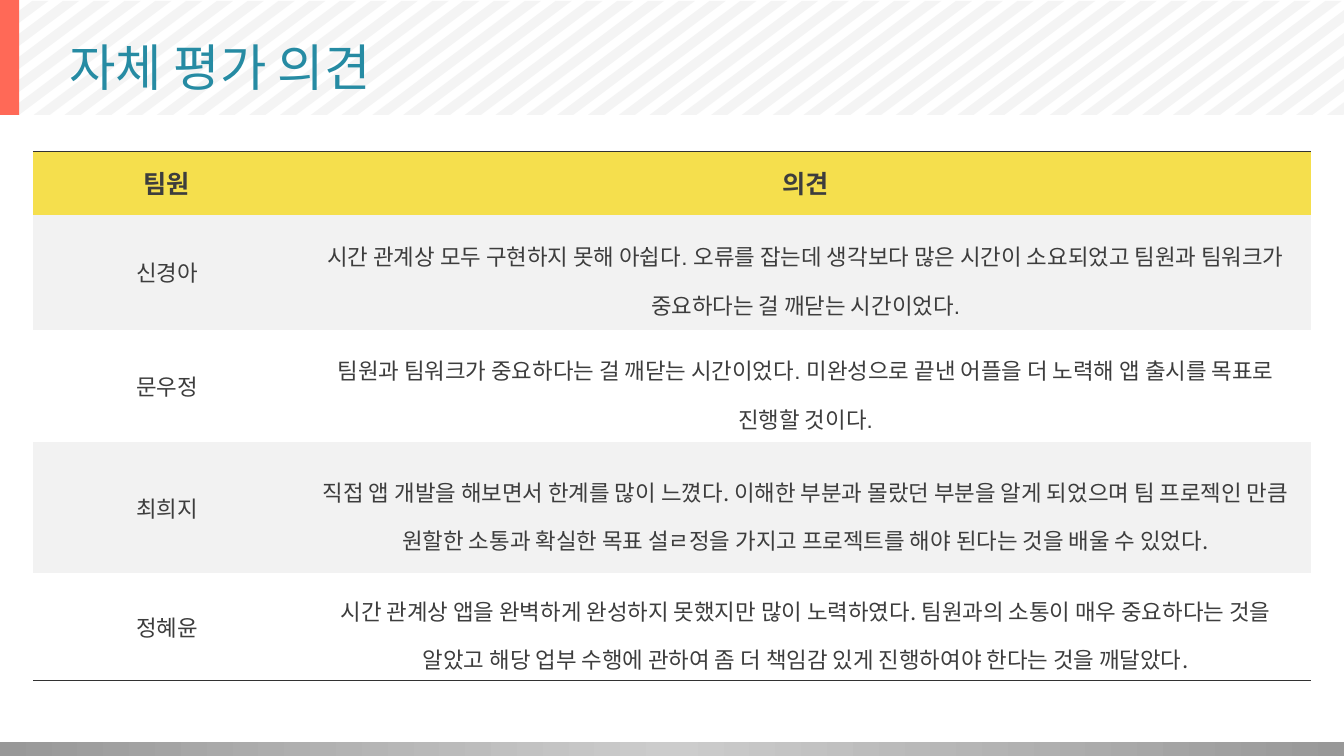
from copy import deepcopy

from lxml import etree
from pptx import Presentation
from pptx.dml.color import RGBColor
from pptx.enum.shapes import MSO_SHAPE as Shape
from pptx.enum.text import MSO_ANCHOR as Anchor, MSO_AUTO_SIZE as AutoSize, PP_ALIGN as Align
from pptx.oxml import parse_xml
from pptx.oxml.ns import nsdecls, qn
from pptx.util import Inches, Pt

STRIPE = RGBColor(0xEB, 0xEB, 0xEB)
CORAL = RGBColor(0xFF, 0x69, 0x57)
TEAL = RGBColor(0x26, 0x8B, 0xA3)
YELLOW = RGBColor(0xF5, 0xDF, 0x4D)
INK = RGBColor(0x3D, 0x3D, 0x3D)
RULE = RGBColor(0x32, 0x32, 0x32)
BAND = RGBColor(0xF2, 0xF2, 0xF2)
WHITE = RGBColor(0xFF, 0xFF, 0xFF)
SILVER = RGBColor(0xCC, 0xCC, 0xCC)
GREY = RGBColor(0x98, 0x98, 0x98)

LATIN, HANGUL = "Arial", "Noto Sans CJK KR"
NO_STYLE = "{2D5ABB26-0587-4C30-8999-92F81FD0307C}"
SLIDE_WIDTH, SLIDE_HEIGHT = 13.33, 7.5

HEADINGS = ("팀원", "의견")
OPINIONS = [
    ("신경아", "시간 관계상 모두 구현하지 못해 아쉽다. 오류를 잡는데 생각보다 많은 시간이 "
     "소요되었고 팀원과 팀워크가 중요하다는 걸 깨닫는 시간이었다.", LATIN),
    ("문우정", "팀원과 팀워크가 중요하다는 걸 깨닫는 시간이었다. 미완성으로 끝낸 어플을 더 "
     "노력해 앱 출시를 목표로 진행할 것이다.", LATIN),
    ("최희지", "직접 앱 개발을 해보면서 한계를 많이 느꼈다. 이해한 부분과 몰랐던 부분을 알게 "
     "되었으며 팀 프로젝인 만큼 원할한 소통과 확실한 목표 설ㄹ정을 가지고 프로젝트를 해야 "
     "된다는 것을 배울 수 있었다.", HANGUL),
    ("정혜윤", "시간 관계상 앱을 완벽하게 완성하지 못했지만 많이 노력하였다. 팀원과의 소통이 "
     "매우 중요하다는 것을 알았고 해당 업부 수행에 관하여 좀 더 책임감 있게 진행하여야 "
     "한다는 것을 깨달았다.", HANGUL),
]


def style_paragraph(para, size, color, align, latin=LATIN, bold=False):
    para.alignment = align
    font = para.font
    font.size, font.bold, font.name = Pt(size), bold, latin
    font.color.rgb = color
    east_asian = etree.SubElement(font._element, qn("a:ea"))
    east_asian.set("typeface", HANGUL)


def add_bar(slide, left, top, width, height):
    bar = slide.shapes.add_shape(
        Shape.RECTANGLE, Inches(left), Inches(top), Inches(width), Inches(height))
    bar.shadow.inherit = False
    bar.line.fill.background()
    return bar


def add_stripes(slide, left, top, width, height):
    """Fill the box with slanted stripes, cut off at its left and right sides."""
    run, thickness, pitch, first_foot = 1.51, 0.16, 0.3054, 0.03

    def clipped_edge(foot):
        """Return the upper and lower ends of a slanted edge."""
        for end in (foot + run, foot):
            x = min(max(end, 0), width)
            yield Inches(left + x), Inches(top + height * (1 - (x - foot) / run))

    for number in range(-5, 44):
        foot = first_foot + number * pitch
        upper, lower = clipped_edge(foot)
        far_upper, far_lower = clipped_edge(foot + thickness)
        builder = slide.shapes.build_freeform(*upper, scale=1.0)
        builder.add_line_segments([lower, far_lower, far_upper], close=True)
        stripe = builder.convert_to_shape()
        stripe.shadow.inherit = False
        stripe.line.fill.background()
        stripe.fill.solid()
        stripe.fill.fore_color.rgb = STRIPE
        color = stripe._element.spPr.find(".//" + qn("a:srgbClr"))
        etree.SubElement(color, qn("a:alpha")).set("val", "52000")


def add_header(slide, left, top, width, height):
    add_stripes(slide, left, top + 0.01, width, height - 0.01)
    accent = add_bar(slide, left, top, 0.19, height)
    accent.fill.solid()
    accent.fill.fore_color.rgb = CORAL

    title = slide.shapes.title
    title.left, title.top = Inches(left + 0.47), Inches(top + 0.14)
    title.width, title.height = Inches(12.36), Inches(1.03)
    slide.shapes._spTree.append(title._element)  # bring in front of the stripes
    frame = title.text_frame
    frame.text = "자체 평가 의견"
    frame.auto_size = AutoSize.NONE
    frame.vertical_anchor = Anchor.MIDDLE
    frame.margin_left = Inches(0.22)
    style_paragraph(frame.paragraphs[0], 36, TEAL, Align.LEFT)


def add_footer(slide, left, top, width, height):
    fill = add_bar(slide, left, top, width, height).fill
    fill.gradient()
    fill.gradient_angle = 0
    first = fill.gradient_stops[0]._gs
    first.addnext(deepcopy(first))
    for stop, position, color in zip(fill.gradient_stops, (0, 0.5, 1), (GREY, SILVER, GREY)):
        stop.position = position
        stop.color.rgb = color


def rule_cell(cell, side):
    border = parse_xml(
        f'<a:{side} {nsdecls("a")} w="9525"><a:solidFill><a:srgbClr val="{RULE}"/>'
        f'</a:solidFill></a:{side}>')
    cell._tc.get_or_add_tcPr().insert(0, border)


def fill_cell(cell, text, fill, size, latin=LATIN, bold=False, spacing=None):
    cell.fill.solid()
    cell.fill.fore_color.rgb = fill
    cell.vertical_anchor = Anchor.MIDDLE
    cell.text = text
    para = cell.text_frame.paragraphs[0]
    para.line_spacing = spacing
    style_paragraph(para, size, INK, Align.CENTER, latin, bold)


def add_opinion_table(slide, left, top, width, height):
    table = slide.shapes.add_table(
        len(OPINIONS) + 1, len(HEADINGS),
        Inches(left), Inches(top), Inches(width), Inches(height)).table
    table._tbl.tblPr.find(qn("a:tableStyleId")).text = NO_STYLE
    table.first_row = table.horz_banding = False
    name_width = 2.65
    for column, column_width in zip(table.columns, (name_width, width - name_width)):
        column.width = Inches(column_width)
    for row, row_height in zip(table.rows, (0.63, 1.14, 1.12, 1.3, 1)):
        row.height = Inches(row_height)

    for column, heading in enumerate(HEADINGS):
        fill_cell(table.cell(0, column), heading, YELLOW, 18, bold=True)
        rule_cell(table.cell(0, column), "lnT")
    for row, (name, opinion, latin) in enumerate(OPINIONS, start=1):
        fill = BAND if row % 2 else WHITE
        fill_cell(table.cell(row, 0), name, fill, 16)
        fill_cell(table.cell(row, 1), opinion, fill, 16, latin, spacing=1.5)
    for column in range(len(HEADINGS)):
        rule_cell(table.cell(len(OPINIONS), column), "lnB")


def main():
    deck = Presentation()
    deck.slide_width, deck.slide_height = Inches(SLIDE_WIDTH), Inches(SLIDE_HEIGHT)
    slide = deck.slides.add_slide(deck.slide_layouts.get_by_name("Title Only"))
    add_header(slide, 0, 0, SLIDE_WIDTH, 1.14)
    add_footer(slide, 0, 7.36, SLIDE_WIDTH, 0.14)
    add_opinion_table(slide, 0.33, 1.5, 12.67, 5.19)
    deck.save("out.pptx")


if __name__ == "__main__":
    main()
